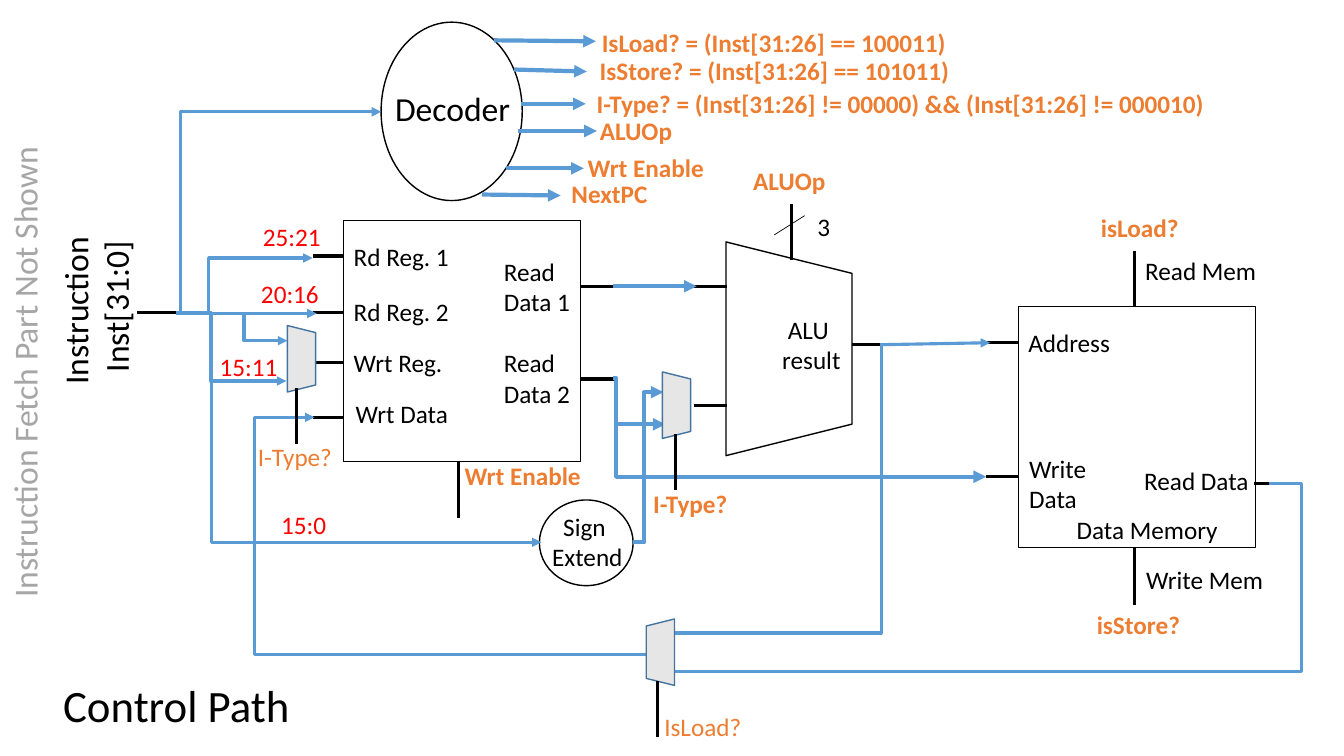
from dataclasses import dataclass
from lxml import etree
from pptx import Presentation
from pptx import util as u
from pptx.dml import color
from pptx.enum import shapes, text
from pptx.oxml import ns

CELL = u.Inches(0.1)
FONT = "Calibri"
BLACK, BLUE, ORANGE, RED, GREY = "000000", "5B9BD5", "ED7D31", "FF0000", "A6A6A6"
MUX_FILL, MUX_LINE = "E7E6E6", "43739E"
KINDS = shapes.MSO_SHAPE
LEFT, CENTER = text.PP_ALIGN.LEFT, text.PP_ALIGN.CENTER


def hue(code):
    """Turn a hex string into a colour."""
    return color.RGBColor.from_string(code)


def cells(*counts):
    """Turn counts of grid cells into slide lengths."""
    return [u.Emu(round(count * CELL)) for count in counts]


def apply(target, values):
    """Set every attribute named in a dict of format values."""
    for name, value in values.items():
        setattr(target, name, value)


def write(frame, lines, size, code, bold, align):
    """Fill a text frame with one paragraph for each line."""
    for index, line in enumerate(lines.split("\n")):
        para = frame.add_paragraph() if index else frame.paragraphs[0]
        para.alignment = align
        span = para.add_run()
        span.text = line
        apply(span.font, {"name": FONT, "size": u.Pt(size), "bold": bold})
        span.font.color.rgb = hue(code)


@dataclass
class Region:
    """A box on the page, in grid cells, that places parts from its corner."""
    page: object
    left: float
    top: float
    width: float
    height: float

    def label(self, x, y, width, lines, height=4, size=18, code=BLACK,
              bold=False, align=LEFT, turn=0):
        """Place a text box."""
        box = self.page.shapes.add_textbox(
            *cells(self.left + x, self.top + y, width, height))
        box.rotation = turn
        apply(box.text_frame, {"word_wrap": False,
                               "auto_size": text.MSO_AUTO_SIZE.SHAPE_TO_FIT_TEXT})
        write(box.text_frame, lines, size, code, bold, align)

    def outline(self, kind, fill=None, line=BLACK, turn=0):
        """Draw a preset shape that covers the region, after any turn."""
        width, height = (self.height, self.width) if turn else (self.width, self.height)
        shape = self.page.shapes.add_shape(kind, *cells(
            self.left + (self.width - width) / 2,
            self.top + (self.height - height) / 2, width, height))
        shape.rotation = turn
        shape.shadow.inherit = False
        if fill:
            shape.fill.solid()
            shape.fill.fore_color.rgb = hue(fill)
        else:
            shape.fill.background()
        shape.line.color.rgb = hue(line)
        shape.line.width = u.Pt(1)

    def wire(self, start, end, code=BLACK, weight=2.25, rail=None, arrow=False):
        """Draw a straight line, or an elbow whose upright stands at rail."""
        kind = shapes.MSO_CONNECTOR
        link = self.page.shapes.add_connector(
            kind.STRAIGHT if rail is None else kind.ELBOW,
            *cells(self.left + start[0], self.top + start[1],
                   self.left + end[0], self.top + end[1]))
        link.line.color.rgb = hue(code)
        link.line.width = u.Pt(weight)
        props = link._element.spPr
        if rail is not None:
            share = round((rail - start[0]) / (end[0] - start[0]) * 100000)
            guides = props.find(ns.qn("a:prstGeom")).find(ns.qn("a:avLst"))
            etree.SubElement(guides, ns.qn("a:gd"), name="adj1", fmla=f"val {share}")
        if arrow:
            etree.SubElement(props.find(ns.qn("a:ln")), ns.qn("a:tailEnd"), type="triangle")
        etree.SubElement(props, ns.qn("a:effectLst"))


def title(page, box):
    """Move and format the title placeholder."""
    holder = page.shapes.title
    apply(holder, dict(zip(("left", "top", "width", "height"), cells(*box))))
    apply(holder.text_frame, {"word_wrap": True, "vertical_anchor": text.MSO_ANCHOR.TOP,
                              "auto_size": text.MSO_AUTO_SIZE.NONE})
    write(holder.text_frame, "Control Path", 32, BLACK, False, CENTER)


def register_file(region):
    """Draw the register file with its ports."""
    region.outline(KINDS.RECTANGLE)
    for x, y, pin, name in ((0, 1.5, 3.5, "Rd Reg. 1"), (0, 7, 9.1, "Rd Reg. 2"),
                            (0, 12.1, 14.1, "Wrt Reg."), (0.2, 17.1, 19.5, "Wrt Data")):
        region.label(x, y, 11.5, name)
        region.wire((-3.1, pin), (0, pin))
    for y, pin, name in ((3, 6.5, "Read\nData 1"), (12.1, 15.7, "Read\nData 2")):
        region.label(14.9, y, 8.6, name, height=7.1)
        region.wire((region.width, pin), (26.8, pin))
    region.wire((11.4, 23.8), (11.4, 29.5))
    region.label(11, 23.3, 13.6, "Wrt Enable", code=ORANGE, bold=True)


def alu(region):
    """Draw the arithmetic unit with its control input."""
    region.outline(KINDS.TRAPEZOID, turn=90)
    region.label(4.6, 6.7, 7.9, " ALU\nresult", height=7.1)
    for start, end in (((12.5, 10.2), (15.8, 10.2)), ((-3.2, 4.4), (0.1, 4.4)),
                       ((-3.2, 16.2), (0.1, 16.2)), ((6.5, -3.8), (6.5, 1.8))):
        region.wire(start, end)
    region.wire((4.8, -0.7), (7.8, -2.6), weight=0.5)
    region.label(1.7, -8.1, 9.8, "ALUOp", code=ORANGE, bold=True)
    region.label(8.1, -3.5, 3.3, "3")


def data_memory(region):
    """Draw the data memory with its ports."""
    region.outline(KINDS.RECTANGLE)
    region.label(0.1, 14.1, 8.3, "Write\nData", height=7.1)
    for x, y, width, name in ((0, 1.6, 10.2, "Address"), (11.5, 15.3, 12.5, "Read Data"),
                              (4.8, 20.1, 16.2, "Data Memory"),
                              (11.6, -5.6, 13.2, "Read Mem"), (11.7, 25.1, 13.7, "Write Mem")):
        region.label(x, y, width, name)
    for start, end in (((-3.2, 3.6), (0, 3.6)), ((-3.2, 16.9), (0, 16.9)),
                       ((23.4, 17.6), (26.5, 17.6)), ((11.5, 0), (11.5, -5.5)),
                       ((11.5, 24), (11.5, 29.6))):
        region.wire(start, end)
    region.label(7.2, -9.8, 9.8, "isLoad?", code=ORANGE, bold=True)
    region.label(6.8, 29.6, 10.3, "isStore?", code=ORANGE, bold=True)


def decoder(region):
    """Draw the decoder with its control signals."""
    region.outline(KINDS.OVAL)
    region.label(0.4, 6, 13.6, "Decoder", height=5, size=24)
    for start, end, x, y, width, name in (
            ((11.2, 1.8), (21.3, 1.9), 20.9, 0, 37.1, "IsLoad? = (Inst[31:26] == 100011)"),
            ((13.2, 4.7), (20.4, 4.9), 20.7, 2.8, 37.6, "IsStore? = (Inst[31:26] == 101011)"),
            ((13.9, 8.1), (20.3, 8.1), 20.4, 6.1, 63.7,
             "I-Type? = (Inst[31:26] != 00000) && (Inst[31:26] != 000010)"),
            ((13.6, 10.8), (21.4, 10.8), 20.7, 8.7, 9.8, "ALUOp"),
            ((12.4, 14.5), (20.1, 14.5), 19.5, 12.4, 13.6, "Wrt Enable"),
            ((10, 17.1), (17.8, 17.2), 17.9, 15, 9.6, "NextPC")):
        region.wire(start, end, BLUE, 3, arrow=True)
        region.label(x, y, width, name, code=ORANGE, bold=True)


def sign_extend(region):
    """Draw the sign extender."""
    region.outline(KINDS.OVAL)
    region.label(0.2, 0.6, 9.1, "Sign \nExtend", height=7.1, align=CENTER)


def mux(region, turn, stem, x, y, name, bold=False):
    """Draw a multiplexer with its select line and label."""
    region.outline(KINDS.TRAPEZOID, MUX_FILL, MUX_LINE, turn)
    region.wire((stem, 11.7), (stem, 6.2))
    region.label(x, y, 10.2, name, code=ORANGE, bold=bold)


def instruction(region):
    """Draw the instruction source and name its bit fields."""
    region.label(0.7, 25.9, 17.6, "Instruction \nInst[31:0]", 9.1, 24, align=CENTER, turn=270)
    region.label(-21.2, 34.2, 47.2, "Instruction Fetch Part Not Shown", 5, 24, GREY, turn=270)
    region.wire((13.6, 31), (17.9, 31))
    for x, y, width, bits in ((25.1, 21.5, 7.8, "25:21"), (24.9, 27.1, 7.8, "20:16"),
                              (20.8, 34.4, 7.8, "15:11"), (26.9, 50, 6.5, "15:0")):
        region.label(x, y, width, bits, code=RED)


def data_wires(region):
    """Draw the blue wires between the units."""
    for start, end, rail, weight, arrow in (
            ((17.5, 31.1), (31, 25.6), 20.7, 2.25, True),
            ((20.3, 31.1), (31.4, 31.1), None, 2.25, True),
            ((17.5, 31), (28.4, 37.8), 20.9, 2.25, True),
            ((20.8, 31), (53.7, 53.8), 21, 2.25, True),
            ((24.2, 31.2), (28.5, 33.8), 24.2, 2.25, True),
            ((17.9, 31.1), (37.8, 11.1), 17.9, 2.25, True),
            ((60.8, 28.4), (69.1, 28.4), None, 3, True),
            ((62.8, 53.8), (65.8, 38.9), 63.9, 3, True),
            ((60.8, 37.5), (66, 42.1), 61.1, 3, True),
            ((61, 41.8), (97.8, 47.3), 61.1, 3, True),
            ((87.3, 34.2), (98.2, 34), None, 2.25, True),
            ((64.5, 64.9), (31.2, 41.4), 25.2, 2.25, True),
            ((87.4, 34.2), (67, 62.8), 87.4, 2.25, False),
            ((125.9, 48), (67, 66.6), 129.1, 2.25, False)):
        region.wire(start, end, BLUE, weight, rail, arrow)


def main():
    """Build the control path slide."""
    deck = Presentation()
    deck.slide_width, deck.slide_height = u.Inches(13.33), u.Inches(7.5)
    page = deck.slides.add_slide(deck.slide_layouts[5])
    title(page, (0, 66.7, 35, 6.4))
    whole = Region(page, 0, 0, 133.3, 75)
    register_file(Region(page, 34.1, 21.9, 23.5, 23.9))
    alu(Region(page, 72, 24, 12.5, 21.2))
    data_memory(Region(page, 101, 30.4, 23.5, 23.9))
    decoder(Region(page, 37.8, 2.2, 14, 17.7))
    sign_extend(Region(page, 53.5, 49.6, 9.3, 8.5))
    instruction(whole)
    data_wires(whole)
    mux(Region(page, 28.5, 32.3, 2.8, 6.6), 90, 0.9, -3.9, 11, "I-Type?")
    mux(Region(page, 65.7, 36.9, 2.8, 6.6), 90, 1.3, -1.9, 11.1, "I-Type?", True)
    mux(Region(page, 64.1, 61.4, 2.8, 6.6), 270, 1.1, 0.8, 8.7, "IsLoad?")
    deck.save("out.pptx")


if __name__ == "__main__":
    main()
